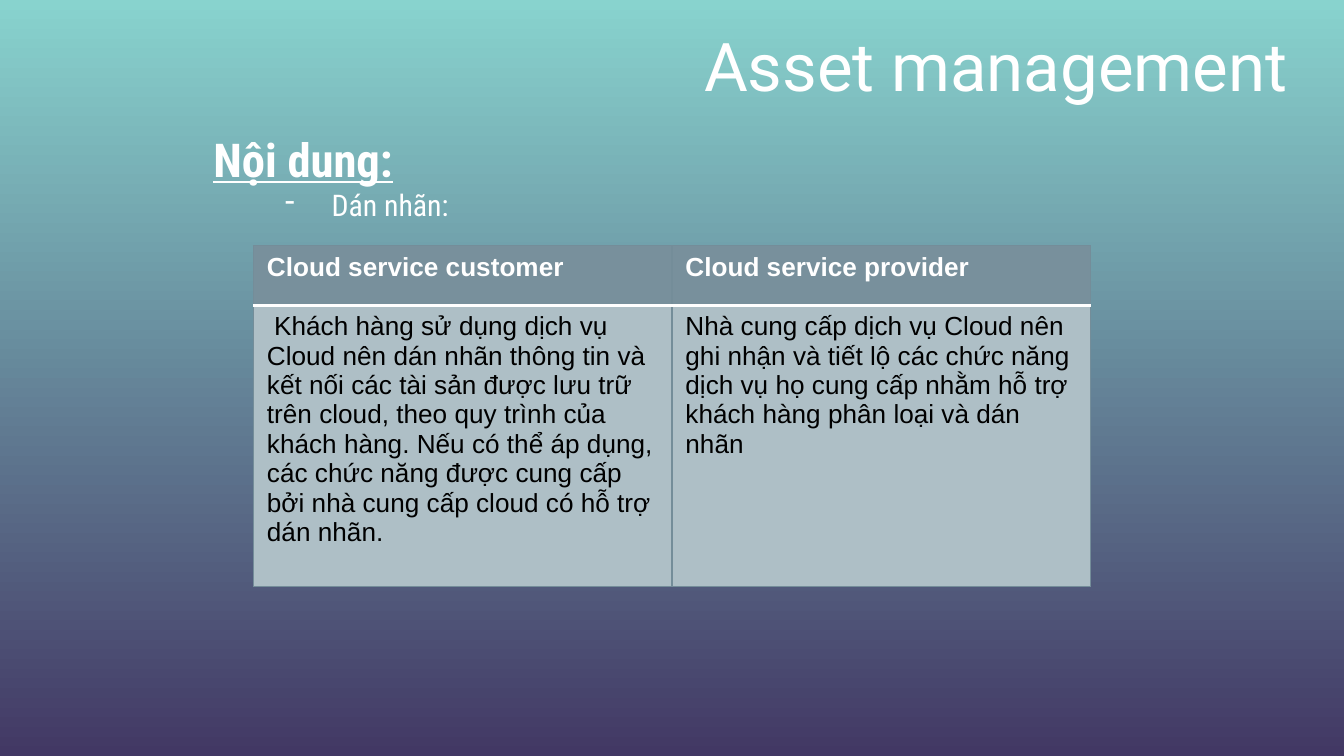
from pptx import Presentation
from pptx.dml.color import RGBColor
from pptx.enum.text import MSO_ANCHOR, PP_ALIGN
from pptx.oxml.ns import qn
from pptx.util import Pt
from lxml.etree import SubElement

WHITE = RGBColor(0xFF, 0xFF, 0xFF)
BLACK = RGBColor(0, 0, 0)
MINT = RGBColor(0x88, 0xD3, 0xCE)
PLUM = RGBColor(0x42, 0x38, 0x64)
SLATE = RGBColor(0x78, 0x90, 0x9C)
PALE = RGBColor(0xAE, 0xBF, 0xC6)
EDGE = RGBColor(0x74, 0x8D, 0x99)

HEADS = ["Cloud service customer", "Cloud service provider"]
DUTIES = [
    " Khách hàng sử dụng dịch vụ Cloud nên dán nhãn thông tin và kết nối "
    "các tài sản được lưu trữ trên cloud, theo quy trình của khách hàng. "
    "Nếu có thể áp dụng, các chức năng được cung cấp bởi nhà cung cấp cloud "
    "có hỗ trợ dán nhãn.",
    "Nhà cung cấp dịch vụ Cloud nên ghi nhận và tiết lộ các chức năng dịch vụ "
    "họ cung cấp nhằm hỗ trợ khách hàng phân loại và dán nhãn",
]


def paint(slide):
    """Fill the background from mint at the top to plum at the foot."""
    fill = slide.background.fill
    fill.gradient()
    fill.gradient_angle = 270
    for stop, color, place in zip(fill.gradient_stops, (MINT, PLUM), (0, 1)):
        stop.color.rgb = color
        stop.position = place


def add_run(para, text, size, face, color=WHITE, bold=False, line=False):
    run = para.add_run()
    run.text = text
    font = run.font
    font.size, font.name, font.color.rgb = Pt(size), face, color
    font.bold, font.underline = bold, line


def add_box(slide, left, top, width, height, anchor):
    box = slide.shapes.add_textbox(Pt(left), Pt(top), Pt(width), Pt(height))
    frame = box.text_frame
    frame.word_wrap = True
    frame.vertical_anchor = anchor
    frame.margin_left = frame.margin_right = Pt(7.2)
    frame.margin_top = frame.margin_bottom = Pt(0)
    return frame


def indent(para, left, first=0, mark=None):
    """Set the left margin and first line, with a bullet mark if given."""
    props = para._p.get_or_add_pPr()
    props.set("marL", str(Pt(left)))
    props.set("indent", str(Pt(first)))
    if mark:
        SubElement(props, qn("a:buChar"), char=mark)


def add_edge(cell, side, color, width):
    props = cell._tc.get_or_add_tcPr()
    line = SubElement(props, qn("a:ln" + side), w=str(Pt(width)))
    fill = SubElement(line, qn("a:solidFill"))
    SubElement(fill, qn("a:srgbClr"), val=str(color))


def fill_cell(cell, text, head):
    rule = (WHITE, 2)
    thin = (EDGE, 0.75)
    edges = {"L": thin, "R": thin,
             "T": thin if head else rule,
             "B": rule if head else thin}
    for side, (color, width) in edges.items():
        add_edge(cell, side, color, width)
    cell.fill.solid()
    cell.fill.fore_color.rgb = SLATE if head else PALE
    add_run(cell.text_frame.paragraphs[0], text, 14, "Arial",
            WHITE if head else BLACK, bold=head)


def add_grid(slide):
    rows = [HEADS, DUTIES]
    frame = slide.shapes.add_table(2, 2, Pt(135.8), Pt(131.6),
                                   Pt(448.4), Pt(182.5))
    table = frame.table
    for col in table.columns:
        col.width = Pt(224.2)
    for row, height in zip(table.rows, (32, 150.5)):
        row.height = Pt(height)
    for r, texts in enumerate(rows):
        for c, text in enumerate(texts):
            fill_cell(table.cell(r, c), text, head=r == 0)


def main():
    deck = Presentation()
    deck.slide_width, deck.slide_height = Pt(720), Pt(405)
    slide = deck.slides.add_slide(deck.slide_layouts[6])
    paint(slide)

    title = add_box(slide, 52.5, 8.6, 644.4, 52.6, MSO_ANCHOR.MIDDLE)
    para = title.paragraphs[0]
    para.alignment = PP_ALIGN.RIGHT
    add_run(para, "Asset management", 36, "Roboto")

    body = add_box(slide, 98.6, 70, 522, 52, MSO_ANCHOR.TOP)
    para = body.paragraphs[0]
    indent(para, 8.6)
    add_run(para, "Nội dung:", 25, "Roboto Condensed", bold=True, line=True)
    para = body.add_paragraph()
    para.level = 1
    indent(para, 72, -25, "-")
    add_run(para, "Dán nhãn:", 16, "Roboto Condensed")

    add_grid(slide)
    deck.save("out.pptx")


if __name__ == "__main__":
    main()
